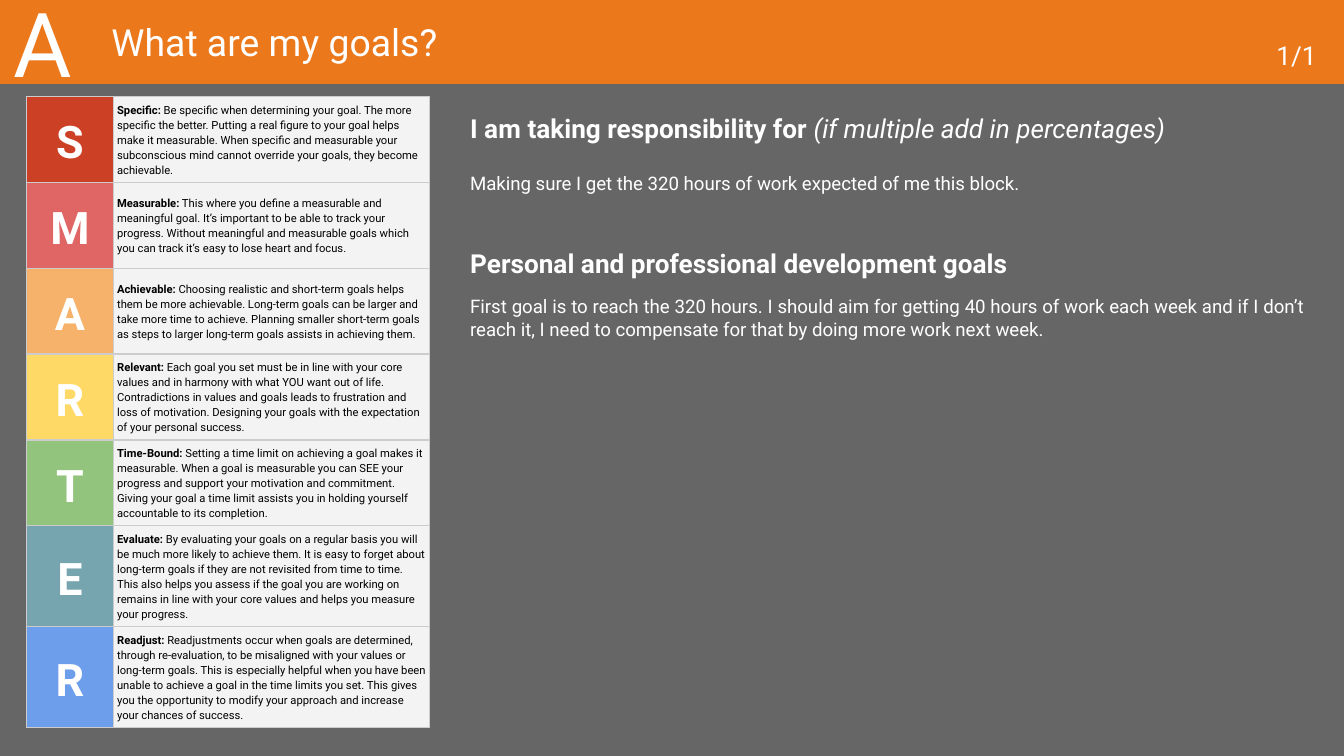
from lxml.etree import SubElement
from pptx import Presentation
from pptx.dml.color import RGBColor
from pptx.enum.shapes import MSO_SHAPE
from pptx.enum.text import MSO_ANCHOR, MSO_AUTO_SIZE, PP_ALIGN
from pptx.oxml.ns import qn
from pptx.util import Pt

FONT = "Roboto"
WHITE = "FFFFFF"
BAND_HEIGHT = 45
LETTER_WIDTH, ADVICE_WIDTH = 46.5, 169.5

# letter, colour, row height, term, advice
SMARTER = [
    ("S", "CC4125", 46, "Specific:",
     "Be specific when determining your goal. The more specific the better. Putting a real "
     "figure to your goal helps make it measurable. When specific and measurable your "
     "subconscious mind cannot override your goals, they become achievable."),
    ("M", "E06666", 46, "Measurable:",
     "This where you define a measurable and meaningful goal. It’s important to be able to "
     "track your progress. Without meaningful and measurable goals which you can track it’s "
     "easy to lose heart and focus."),
    ("A", "F6B26B", 46, "Achievable:",
     "Choosing realistic and short-term goals helps them be more achievable. Long-term goals "
     "can be larger and take more time to achieve. Planning smaller short-term goals as steps "
     "to larger long-term goals assists in achieving them."),
    ("R", "FFD966", 46, "Relevant:",
     "Each goal you set must be in line with your core values and in harmony with what YOU "
     "want out of life. Contradictions in values and goals leads to frustration and loss of "
     "motivation. Designing your goals with the expectation of your personal success."),
    ("T", "93C47D", 46, "Time-Bound:",
     "Setting a time limit on achieving a goal makes it measurable. When a goal is measurable "
     "you can SEE your progress and support your motivation and commitment. Giving your goal "
     "a time limit assists you in holding yourself accountable to its completion."),
    ("E", "76A5AF", 54, "Evaluate:",
     "By evaluating your goals on a regular basis you will be much more likely to achieve "
     "them. It is easy to forget about long-term goals if they are not revisited from time to "
     "time. This also helps you assess if the goal you are working on remains in line with "
     "your core values and helps you measure your progress."),
    ("R", "6D9EEB", 54, "Readjust:",
     "Readjustments occur when goals are determined, through re-evaluation, to be misaligned "
     "with your values or long-term goals. This is especially helpful when you have been "
     "unable to achieve a goal in the time limits you set. This gives you the opportunity to "
     "modify your approach and increase your chances of success."),
]


def paint(fill, colour):
    fill.solid()
    fill.fore_color.rgb = RGBColor.from_string(colour)


def style(paragraph, size, colour=WHITE, bold=None, align=PP_ALIGN.LEFT, spacing=1.0):
    paragraph.alignment = align
    paragraph.line_spacing = spacing
    font = paragraph.font
    font.name, font.size, font.bold = FONT, Pt(size), bold
    font.color.rgb = RGBColor.from_string(colour)


def add_lead(paragraph, lead, rest):
    """Write a bold lead followed by plain text; return the plain run."""
    lead_run = paragraph.add_run()
    lead_run.text = lead
    lead_run.font.bold = True
    rest_run = paragraph.add_run()
    rest_run.text = f" {rest}"
    return rest_run


def set_frame(shape, left, top, width, height, anchor=MSO_ANCHOR.TOP):
    """Place a text shape and return its text frame."""
    shape.left, shape.top = Pt(left), Pt(top)
    shape.width, shape.height = Pt(width), Pt(height)
    frame = shape.text_frame
    frame.word_wrap = True
    frame.auto_size = MSO_AUTO_SIZE.NONE
    frame.vertical_anchor = anchor
    frame.margin_left = frame.margin_right = Pt(7.2)
    frame.margin_top = frame.margin_bottom = Pt(7.2)
    return frame


def add_frame(slide, *place):
    return set_frame(slide.shapes.add_textbox(0, 0, 0, 0), *place)


def add_header(slide):
    title = slide.shapes.title
    band = slide.shapes.add_shape(MSO_SHAPE.RECTANGLE, 0, 0, Pt(720), Pt(BAND_HEIGHT))
    band.shadow.inherit = False
    paint(band.fill, "EC781C")
    band.line.fill.background()
    title.element.addprevious(band.element)  # the title lies on the band

    middle = MSO_ANCHOR.MIDDLE
    heading = set_frame(title, 52.5, 0, 432, BAND_HEIGHT, middle)
    page = add_frame(slide, 556.5, 0, 156, BAND_HEIGHT, MSO_ANCHOR.BOTTOM)
    section = add_frame(slide, 0, 0, 45, BAND_HEIGHT, middle)
    for frame, text, size, align in (
        (heading, "What are my goals?", 20, PP_ALIGN.LEFT),
        (page, "1/1", 14, PP_ALIGN.RIGHT),
        (section, "A", 48, PP_ALIGN.CENTER),
    ):
        frame.text = text
        style(frame.paragraphs[0], size, align=align)


def add_goals(slide):
    responsibility = add_frame(slide, 244.8, 52.5, 460.8, 32).paragraphs[0]
    style(responsibility, 14, spacing=1.04)
    note = add_lead(responsibility, "I am taking responsibility for",
                    "(if multiple add in percentages)")
    note.font.italic = True

    frame = add_frame(slide, 244.8, 84.25, 460.8, 306)
    frame.text = "\n".join([
        "Making sure I get the 320 hours of work expected of me this block.",
        "Personal and professional development goals",
        "First goal is to reach the 320 hours. I should aim for getting 40 hours of work each "
        "week and if I don’t reach it, I need to compensate for that by doing more work next "
        "week.",
    ])
    commitment, heading, plan = frame.paragraphs
    style(commitment, 10, spacing=1.04)
    style(heading, 14, bold=True, spacing=1.04)
    style(plan, 10, align=PP_ALIGN.JUSTIFY, spacing=1.04)
    heading.space_before = Pt(28)
    plan.space_before = Pt(8)


def format_cell(cell, colour):
    cell.vertical_anchor = MSO_ANCHOR.MIDDLE
    cell.margin_left = cell.margin_right = Pt(2)
    cell.margin_top = cell.margin_bottom = Pt(1.5)
    properties = cell._tc.get_or_add_tcPr()
    for side in ("a:lnL", "a:lnR", "a:lnT", "a:lnB"):
        border = SubElement(properties, qn(side), w=str(Pt(0.75)))
        SubElement(SubElement(border, qn("a:solidFill")), qn("a:srgbClr"), val="CCCCCC")
    paint(cell.fill, colour)


def add_smarter_table(slide):
    height = sum(row[2] for row in SMARTER)
    table = slide.shapes.add_table(len(SMARTER), 2, Pt(14.25), Pt(51.75),
                                   Pt(LETTER_WIDTH + ADVICE_WIDTH), Pt(height)).table
    table.first_row = table.horz_banding = False
    table.columns[0].width = Pt(LETTER_WIDTH)
    table.columns[1].width = Pt(ADVICE_WIDTH)
    for row, (letter, colour, row_height, term, advice) in zip(table.rows, SMARTER):
        row.height = Pt(row_height)
        letter_cell, advice_cell = row.cells
        format_cell(letter_cell, colour)
        format_cell(advice_cell, "F3F3F3")
        letter_cell.text = letter
        style(letter_cell.text_frame.paragraphs[0], 24, bold=True,
              align=PP_ALIGN.CENTER, spacing=1.15)
        advice_line = advice_cell.text_frame.paragraphs[0]
        style(advice_line, 6, "000000", spacing=1.15)
        add_lead(advice_line, term, advice)


def main():
    presentation = Presentation()
    presentation.slide_width, presentation.slide_height = Pt(720), Pt(405)
    slide = presentation.slides.add_slide(presentation.slide_layouts[5])
    paint(slide.background.fill, "666666")
    add_header(slide)
    add_goals(slide)
    add_smarter_table(slide)
    presentation.save("out.pptx")


if __name__ == "__main__":
    main()
